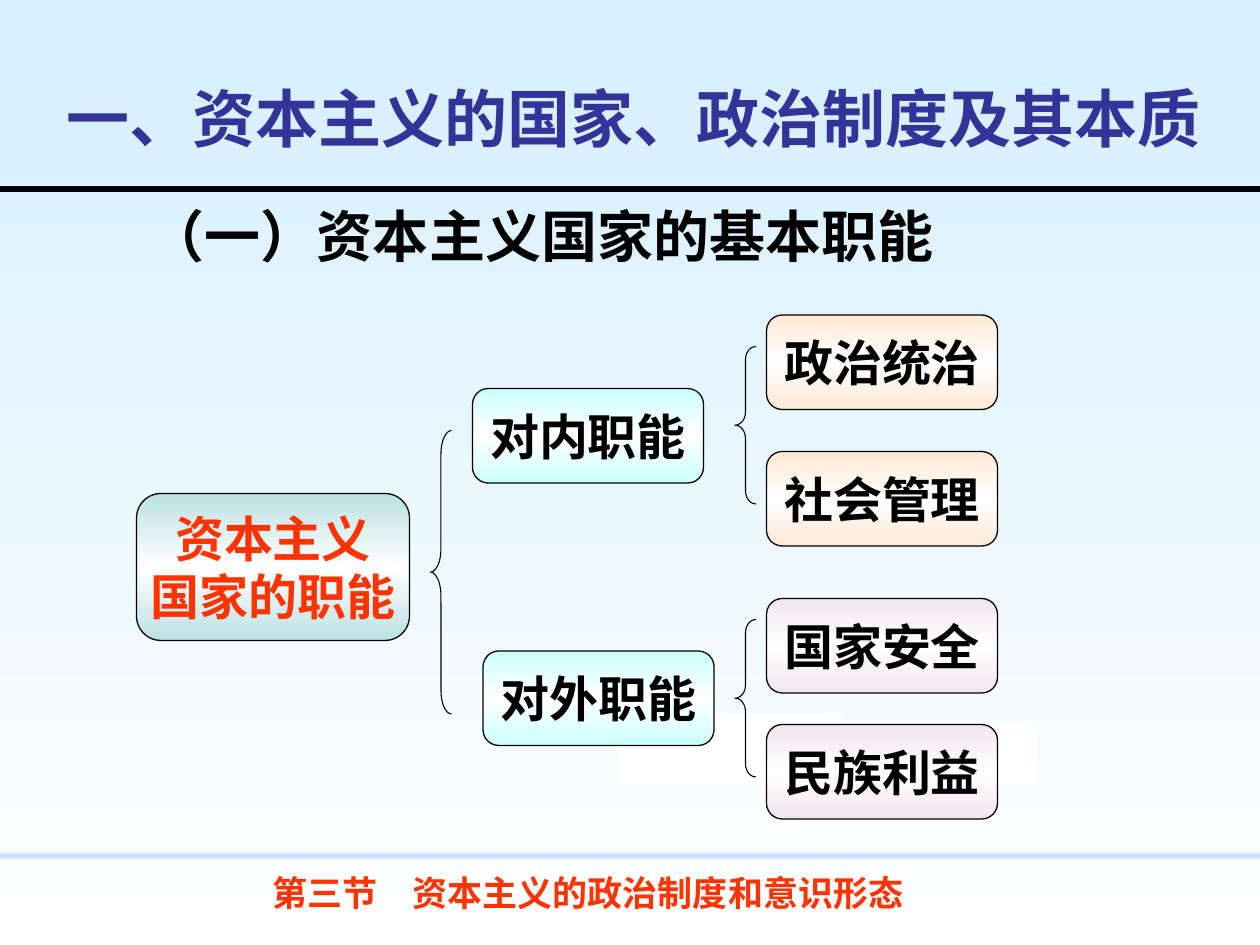
"""Build a slide with a bracket tree of state functions."""
import copy

import pptx
import pptx.dml.color
import pptx.enum.shapes
import pptx.enum.text
import pptx.oxml
import pptx.oxml.ns
import pptx.util

WIDE, HIGH = 10, 7.5
COLS, ROWS = 120, 90
HUES = {
    "sky": "D5EFFF", "white": "FFFFFF", "band": "C1E0FF", "black": "000000",
    "red": "FF3300", "navy": "333399", "teal": "BBE0E3", "cyan": "CCFFFF",
    "peach": "FFEAD5", "mauve": "F3E5EF",
}
LATIN, HAN = "Arial", "Noto Sans CJK SC"
KIND = pptx.enum.shapes.MSO_SHAPE
ALIGN = pptx.enum.text.PP_ALIGN
FIT = pptx.enum.text.MSO_AUTO_SIZE
MIDDLE = pptx.enum.text.MSO_ANCHOR.MIDDLE


def hue(name):
    return pptx.dml.color.RGBColor.from_string(HUES[name])


def place(col, row, cols, rows):
    across, down = WIDE / COLS, HIGH / ROWS
    sides = (col * across, row * down, cols * across, rows * down)
    return [pptx.util.Inches(side) for side in sides]


def blend(owner, fill, names):
    fill.gradient()
    fill.gradient_angle = 270
    stops = owner.element.find(".//" + pptx.oxml.ns.qn("a:gsLst"))
    while len(stops) < len(names):
        stops.append(copy.deepcopy(stops[-1]))
    for spot, (stop, name) in enumerate(zip(fill.gradient_stops, names)):
        stop.position = spot / (len(names) - 1)
        stop.color.rgb = hue(name)


def edge(shape, name, width):
    shape.line.color.rgb = hue(name)
    shape.line.width = pptx.util.Pt(width)


def write(frame, lines, size, name, align, face=LATIN):
    for spot, line in enumerate(lines):
        para = frame.add_paragraph() if spot else frame.paragraphs[0]
        para.alignment = align
        run = para.add_run()
        run.text = line
        font = run.font
        font.size, font.bold, font.name = pptx.util.Pt(size), True, face
        font.color.rgb = hue(name)
        asian = pptx.oxml.parse_xml(
            f'<a:ea {pptx.oxml.ns.nsdecls("a")} typeface="{HAN}"/>')
        run.font._element.find(pptx.oxml.ns.qn("a:latin")).addnext(asian)


def add(slide, kind, spot):
    shape = slide.shapes.add_shape(kind, *place(*spot))
    shape.shadow.inherit = False
    return shape


def patch(slide, spot):
    shape = add(slide, KIND.RECTANGLE, spot)
    shape.fill.solid()
    shape.fill.fore_color.rgb = hue("white")
    edge(shape, "white", 0.62)


def band(slide, spot):
    shape = add(slide, KIND.RECTANGLE, spot)
    blend(shape, shape.fill, ["white", "band", "white"])
    shape.line.fill.background()


def brace(slide, col, row, rows):
    cols = 2
    shape = add(slide, KIND.LEFT_BRACE, (col, row, cols, rows))
    shape.adjustments[0] = rows / 12 / cols
    shape.fill.background()
    edge(shape, "black", 0.62)


def node(slide, lines, spot, tint, ink="black"):
    shape = add(slide, KIND.ROUNDED_RECTANGLE, spot)
    blend(shape, shape.fill, [tint, "white", tint])
    edge(shape, "black", 0.74)
    frame = shape.text_frame
    frame.word_wrap = False
    frame.vertical_anchor = MIDDLE
    write(frame, lines, 28, ink, ALIGN.CENTER)


def label(slide, text, spot, size, name, face=LATIN, wrap=True):
    frame = slide.shapes.add_textbox(*place(*spot)).text_frame
    frame.word_wrap = wrap
    frame.auto_size = FIT.SHAPE_TO_FIT_TEXT
    write(frame, [text], size, name, ALIGN.LEFT, face)
    return frame.paragraphs[0]


def title(slide, text, spot):
    shape = slide.shapes.title
    shape.left, shape.top, shape.width, shape.height = place(*spot)
    frame = shape.text_frame
    frame.auto_size = FIT.NONE
    frame.vertical_anchor = MIDDLE
    write(frame, [text], 20, "red", ALIGN.CENTER)


def rule(slide, row):
    left, top, width, _ = place(0, row, COLS, 0)
    line = slide.shapes.add_connector(
        pptx.enum.shapes.MSO_CONNECTOR.STRAIGHT, left, top, left + width, top)
    edge(line, "black", 3)
    line.element.spPr.append(pptx.oxml.parse_xml(
        f'<a:effectLst {pptx.oxml.ns.nsdecls("a")}/>'))


def main():
    deck = pptx.Presentation()
    deck.slide_width = pptx.util.Inches(WIDE)
    deck.slide_height = pptx.util.Inches(HIGH)
    slide = deck.slides.add_slide(deck.slide_layouts[5])
    blend(slide, slide.background.fill, ["sky", "white"])

    band(slide, (0, 81, COLS, 1))
    title(slide, "第三节\u3000资本主义的政治制度和意识形态", (5, 80, 102, 10))
    para = label(slide, "（一）资本主义国家的基本职能",
                 (13, 21, 86.8, 5.3), 32, "black")
    para.line_spacing = pptx.util.Pt(24)
    para.space_before = pptx.util.Pt(8)

    patch(slide, (59, 69, 39.7, 5.6))
    patch(slide, (62, 68, 18, 5.6))
    node(slide, ["资本主义", "国家的职能"], (13, 47, 26, 14), "teal", "red")
    for text, col, row, tint in [
        ("对内职能", 45, 37, "cyan"),
        ("对外职能", 46, 62, "cyan"),
        ("政治统治", 73, 30, "peach"),
        ("社会管理", 73, 43, "peach"),
        ("国家安全", 73, 57, "mauve"),
        ("民族利益", 73, 69, "mauve"),
    ]:
        node(slide, [text], (col, row, 22, 9), tint)
    for col, row, rows in [(41, 41, 27), (70, 33, 15), (70, 59, 15)]:
        brace(slide, col, row, rows)

    label(slide, "一、资本主义的国家、政治制度及其本质",
          (5.2, 7, 110.4, 8.4), 36, "navy", HAN, wrap=False)
    rule(slide, 18)
    deck.save("out.pptx")


main()
